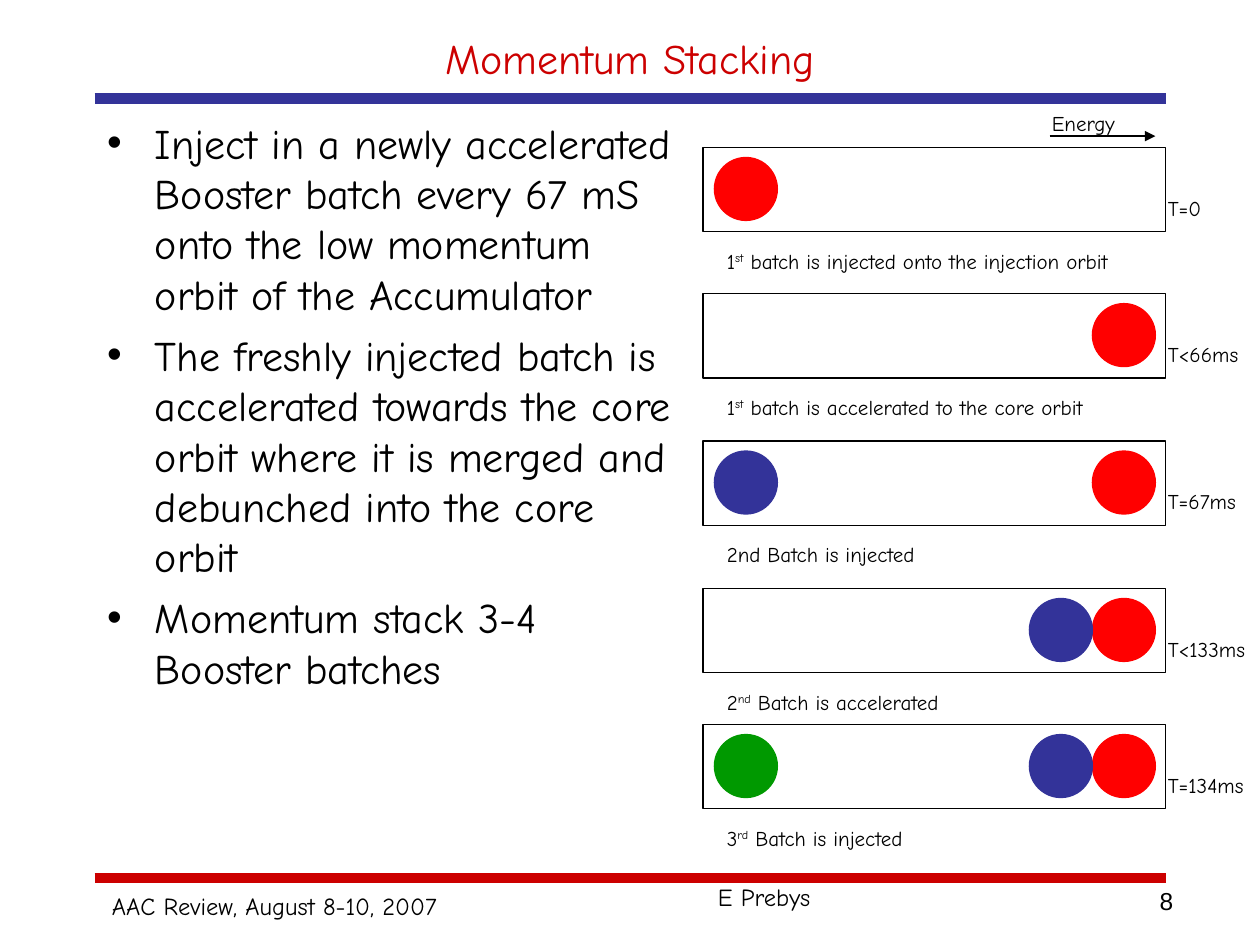
"""Build the Momentum Stacking slide."""
from dataclasses import dataclass

import pptx
import pptx.dml.color
import pptx.enum.shapes
import pptx.enum.text
import pptx.oxml.ns
import pptx.util
from lxml import etree

Inches = pptx.util.Inches
Pt = pptx.util.Pt
RGBColor = pptx.dml.color.RGBColor
ShapeType = pptx.enum.shapes.MSO_SHAPE
Align = pptx.enum.text.PP_ALIGN
qn = pptx.oxml.ns.qn

BLACK = RGBColor(0x00, 0x00, 0x00)
CRIMSON = RGBColor(0xCC, 0x00, 0x00)
RED = RGBColor(0xFF, 0x00, 0x00)
BLUE = RGBColor(0x33, 0x33, 0x99)
GREEN = RGBColor(0x00, 0x99, 0x00)
FONT = "Comic Neue"

ORBIT_LEFT, ORBIT_WIDTH, ORBIT_HEIGHT = 5.58, 3.67, 0.67
BATCH_SIZE = 0.5
INJECTION, CORE = 5.67, 8.67
MERGING = CORE - BATCH_SIZE


@dataclass(frozen=True)
class Batch:
    left: float
    color: RGBColor


@dataclass(frozen=True)
class Stage:
    top: float
    time: str
    caption: tuple[str, ...]
    batches: tuple[Batch, ...]


STAGES = (
    Stage(1.17, "T=0", ("1", "st", " batch is injected onto the injection orbit"),
          (Batch(INJECTION, RED),)),
    Stage(2.33, "T<66ms", ("1", "st", " batch is accelerated to the core orbit"),
          (Batch(CORE, RED),)),
    Stage(3.5, "T=67ms", ("2nd Batch is injected",),
          (Batch(CORE, RED), Batch(INJECTION, BLUE))),
    Stage(4.67, "T<133ms", ("2", "nd", " Batch is accelerated"),
          (Batch(CORE, RED), Batch(MERGING, BLUE))),
    Stage(5.75, "T=134ms", ("3", "rd", " Batch is injected"),
          (Batch(CORE, RED), Batch(MERGING, BLUE), Batch(INJECTION, GREEN))),
)
POINTS = (
    "Inject in a newly accelerated Booster batch every 67 mS onto the low momentum "
    "orbit of the Accumulator",
    "The freshly injected batch is accelerated towards the core orbit where it is "
    "merged and debunched into the core orbit",
    "Momentum stack 3-4 Booster batches",
)


def place(shape, left: float, top: float, width: float, height: float) -> None:
    shape.left, shape.top = Inches(left), Inches(top)
    shape.width, shape.height = Inches(width), Inches(height)


def add_run(paragraph, text: str, size: float, color: RGBColor = BLACK, font: str = FONT):
    run = paragraph.add_run()
    run.text = text
    run.font.name = font
    run.font.size = Pt(size)
    run.font.color.rgb = color
    return run


def add_text(slide, left: float, top: float, width: float, runs: tuple[str, ...],
             size: float = 12, font: str = FONT, align=Align.LEFT) -> None:
    shape = slide.shapes.add_textbox(Inches(left), Inches(top), Inches(width), Inches(0.3))
    shape.text_frame.word_wrap = True
    shape.text_frame.margin_right = Inches(0 if align == Align.LEFT else 0.1)
    paragraph = shape.text_frame.paragraphs[0]
    paragraph.alignment = align
    for index, text in enumerate(runs):
        run = add_run(paragraph, text, size, font=font)
        if index == 1:
            run.font._element.set("baseline", "30000")


def add_line(slide, left: float, right: float, top: float, color: RGBColor,
             width: float, arrow: bool = False) -> None:
    connector = slide.shapes.add_connector(
        pptx.enum.shapes.MSO_CONNECTOR.STRAIGHT,
        Inches(left), Inches(top), Inches(right), Inches(top))
    connector.line.color.rgb = color
    connector.line.width = Pt(width)
    if arrow:
        etree.SubElement(connector.line._get_or_add_ln(), qn("a:tailEnd"), type="triangle")
    etree.SubElement(connector._element.spPr, qn("a:effectLst"))


def add_outline(slide, kind, left: float, top: float, width: float, height: float,
                line: RGBColor):
    shape = slide.shapes.add_shape(
        kind, Inches(left), Inches(top), Inches(width), Inches(height))
    shape.shadow.inherit = False
    shape.fill.background()
    shape.line.color.rgb = line
    shape.line.width = Pt(0.75)
    return shape


def add_stage(slide, stage: Stage) -> None:
    add_outline(slide, ShapeType.RECTANGLE, ORBIT_LEFT, stage.top,
                ORBIT_WIDTH, ORBIT_HEIGHT, BLACK)
    for batch in stage.batches:
        circle = add_outline(slide, ShapeType.OVAL, batch.left, stage.top + 0.08,
                             BATCH_SIZE, BATCH_SIZE, batch.color)
        circle.fill.solid()
        circle.fill.fore_color.rgb = batch.color
    add_text(slide, 9.17, stage.top + 0.33, 0.83, (stage.time,))
    add_text(slide, 5.67, stage.top + 0.75, 3.58, stage.caption)


def fill_title(title) -> None:
    place(title, 0.75, 0.17, 8.5, 0.58)
    frame = title.text_frame
    frame.auto_size = pptx.enum.text.MSO_AUTO_SIZE.NONE
    frame.vertical_anchor = pptx.enum.text.MSO_ANCHOR.MIDDLE
    frame.paragraphs[0].alignment = Align.CENTER
    add_run(frame.paragraphs[0], "Momentum Stacking", 24, CRIMSON)


def fill_body(body) -> None:
    place(body, 0.75, 0.88, 4.67, 6.04)
    frame = body.text_frame
    frame.auto_size = pptx.enum.text.MSO_AUTO_SIZE.NONE
    frame.margin_right = Inches(0.05)
    for index, text in enumerate(POINTS):
        paragraph = frame.add_paragraph() if index else frame.paragraphs[0]
        paragraph.space_before = Pt(6 if index else 0)
        properties = paragraph._p.get_or_add_pPr()
        properties.set("marL", str(Inches(0.38)))
        properties.set("indent", str(Inches(-0.38)))
        etree.SubElement(properties, qn("a:buFont"), typeface="Arial")
        etree.SubElement(properties, qn("a:buChar"), char="•")
        add_run(paragraph, text, 24)


def main() -> None:
    presentation = pptx.Presentation()
    presentation.slide_width, presentation.slide_height = Inches(10), Inches(7.5)
    slide = presentation.slides.add_slide(presentation.slide_layouts[1])
    add_line(slide, 0.75, 9.25, 6.97, CRIMSON, 6)
    add_line(slide, 0.75, 9.25, 0.78, BLUE, 6)
    fill_title(slide.shapes.title)
    fill_body(slide.placeholders[1])
    add_line(slide, 8.33, 9.17, 1.08, BLACK, 0.75, arrow=True)
    add_text(slide, 8.25, 0.83, 0.83, ("Energy",))
    for stage in STAGES:
        add_stage(slide, stage)
    add_text(slide, 0.79, 7.02, 2.85, ("AAC Review, August 8-10, 2007",), 14)
    add_text(slide, 5.6, 6.95, 2.77, ("E Prebys",), 14)
    add_text(slide, 7.08, 6.98, 2.33, ("8",), 14, "Arial", Align.RIGHT)
    presentation.save("out.pptx")


if __name__ == "__main__":
    main()
